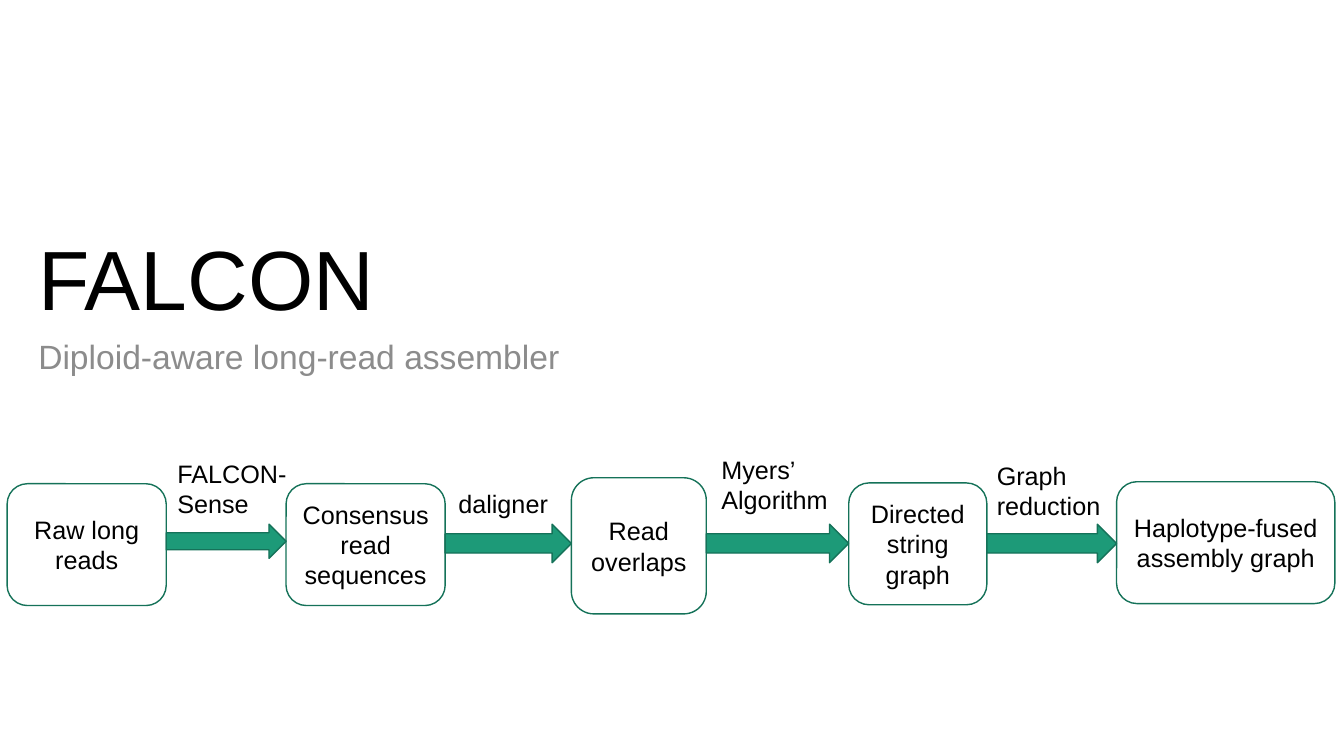
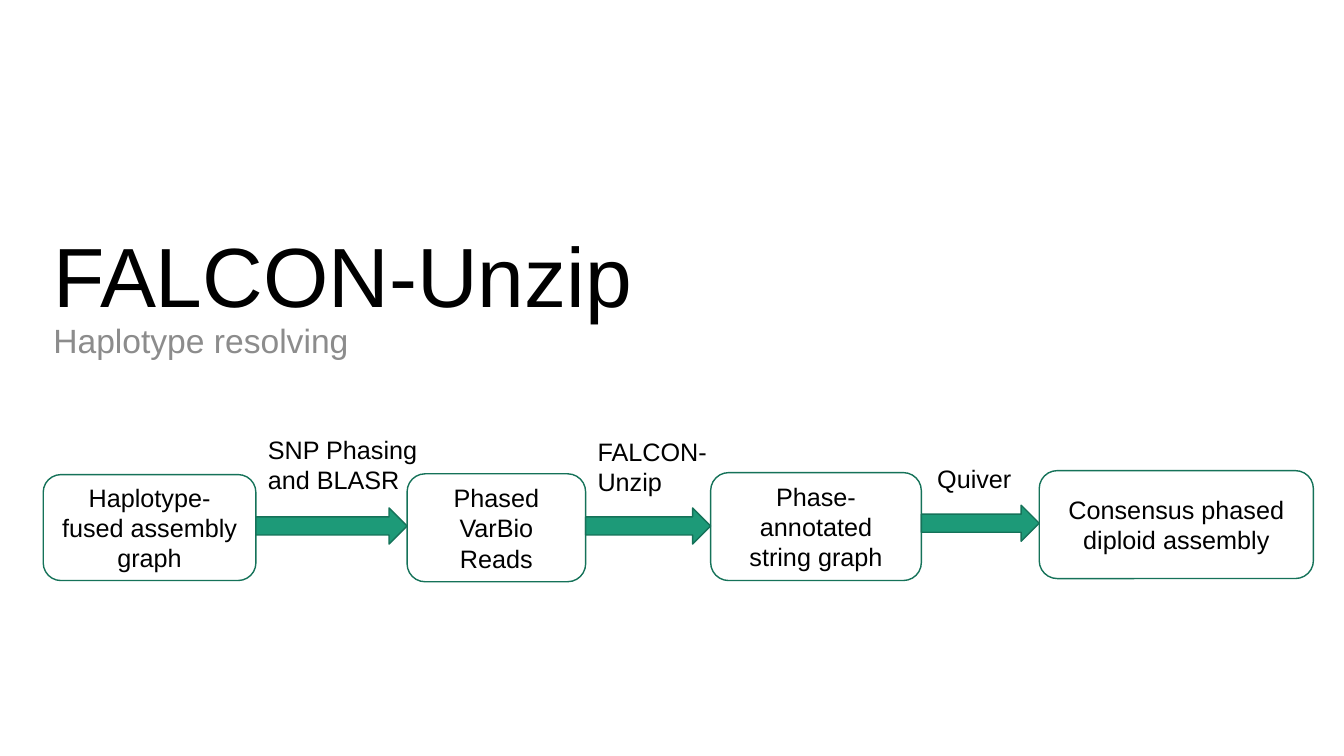
from dataclasses import dataclass
from itertools import pairwise

from pptx import Presentation
from pptx.dml.color import RGBColor
from pptx.enum.shapes import MSO_SHAPE
from pptx.enum.text import MSO_ANCHOR, MSO_AUTO_SIZE, PP_ALIGN
from pptx.util import Cm, Pt

ROUNDED_BOX = MSO_SHAPE.ROUNDED_RECTANGLE
RIGHT_ARROW = MSO_SHAPE.RIGHT_ARROW
TOP, MIDDLE, BOTTOM = MSO_ANCHOR.TOP, MSO_ANCHOR.MIDDLE, MSO_ANCHOR.BOTTOM
LEFT, CENTER = PP_ALIGN.LEFT, PP_ALIGN.CENTER
NO_AUTOFIT = MSO_AUTO_SIZE.NONE
SECTION_LAYOUT = 2


@dataclass(frozen=True)
class Theme:
    font: str = "Arial"
    ink: RGBColor = RGBColor(0x00, 0x00, 0x00)
    muted: RGBColor = RGBColor(0x8C, 0x8C, 0x8C)
    arrow: RGBColor = RGBColor(0x1D, 0x9A, 0x78)
    outline: RGBColor = RGBColor(0x15, 0x72, 0x59)
    title_size: int = 60
    subtitle_size: int = 24
    flow_size: int = 18
    outline_width: int = 1
    heading_spacing: float = 0.9


@dataclass(frozen=True)
class Stage:
    """A box of the pipeline; frame is left, top, width, height in cm."""
    text: str
    frame: tuple

    @property
    def right(self):
        return self.frame[0] + self.frame[2]


@dataclass(frozen=True)
class Link:
    """A labelled arrow that fills the gap between two stages."""
    text: str
    frame: tuple
    arrow_top: float
    arrow_height: float


@dataclass(frozen=True)
class Pipeline:
    title: str
    title_frame: tuple
    subtitle: str
    subtitle_frame: tuple
    stages: tuple
    links: tuple


THEME = Theme()

PIPELINES = (
    Pipeline(
        "FALCON", (0.71, 5.28, 29.21, 3.12),
        "Diploid-aware long-read assembler", (0.71, 8.46, 29.21, 4.17),
        stages=(
            Stage("Raw long reads", (0.18, 12.19, 4.01, 3.07)),
            Stage("Consensus read sequences", (7.21, 12.19, 4.01, 3.07)),
            Stage("Read overlaps", (14.4, 12.04, 3.4, 3.43)),
            Stage("Directed string graph", (21.39, 12.17, 3.48, 3.07)),
            Stage("Haplotype-fused assembly graph", (28.14, 12.14, 5.5, 3.07)),
        ),
        links=(
            Link("FALCON-Sense", (4.22, 11.43, 3.4, 2.13), 13.21, 0.86),
            Link("daligner", (11.3, 12.17, 3.15, 1.19), 13.21, 0.97),
            Link("Myers’ Algorithm", (17.93, 11.33, 3.63, 2.11), 13.21, 0.97),
            Link("Graph reduction", (24.87, 11.48, 3.66, 2.11), 13.21, 0.97),
        ),
    ),
    Pipeline(
        "FALCON-Unzip", (1.09, 5.16, 29.21, 3.18),
        "Haplotype resolving", (1.09, 8.05, 29.21, 1.78),
        stages=(
            Stage("Haplotype-fused assembly graph", (1.09, 11.96, 5.36, 2.67)),
            Stage("Phased VarBio Reads", (10.26, 11.94, 4.5, 2.72)),
            Stage("Phase-annotated string graph", (17.91, 11.91, 5.31, 2.72)),
            Stage("Consensus phased diploid assembly", (26.19, 11.86, 6.91, 2.72)),
        ),
        links=(
            Link("SNP Phasing and BLASR", (6.5, 10.82, 4.32, 3.18), 12.8, 0.91),
            Link("FALCON-Unzip", (14.81, 10.87, 3.51, 2.08), 12.8, 0.91),
            Link("Quiver", (23.37, 11.56, 3.91, 1.27), 12.73, 0.91),
        ),
    ),
)


def set_all(target, values):
    for name, value in values.items():
        setattr(target, name, value)


def lengths(frame):
    return [Cm(number) for number in frame]


def write_text(shape, text, size, color, anchor, align):
    """Put one formatted paragraph into a shape and return the paragraph."""
    frame = shape.text_frame
    set_all(frame, {"word_wrap": True, "auto_size": NO_AUTOFIT,
                    "vertical_anchor": anchor})
    para = frame.paragraphs[0]
    set_all(para, {"alignment": align, "space_before": Pt(0)})
    span = para.add_run()
    span.text = text
    set_all(span.font, {"name": THEME.font, "size": Pt(size), "bold": False})
    span.font.color.rgb = color
    return para


def fill_heading(placeholder, frame, text, size, color, anchor):
    """Move and fill a placeholder, without the layout's capitals."""
    set_all(placeholder, dict(zip(("left", "top", "width", "height"), lengths(frame))))
    para = write_text(placeholder, text, size, color, anchor, LEFT)
    para.line_spacing = THEME.heading_spacing
    para.runs[0]._r.get_or_add_rPr().set("cap", "none")


def add_outlined(shapes, kind, frame):
    shape = shapes.add_shape(kind, *lengths(frame))
    shape.shadow.inherit = False
    shape.line.color.rgb = THEME.outline
    shape.line.width = Pt(THEME.outline_width)
    return shape


def add_stage(shapes, stage):
    box = add_outlined(shapes, ROUNDED_BOX, stage.frame)
    box.fill.background()
    write_text(box, stage.text, THEME.flow_size, THEME.ink, MIDDLE, CENTER)


def add_arrow(shapes, link, start, end):
    frame = (start.right, link.arrow_top, end.frame[0] - start.right, link.arrow_height)
    arrow = add_outlined(shapes, RIGHT_ARROW, frame)
    arrow.fill.solid()
    arrow.fill.fore_color.rgb = THEME.arrow


def add_label(shapes, link):
    label = shapes.add_textbox(*lengths(link.frame))
    write_text(label, link.text, THEME.flow_size, THEME.ink, TOP, LEFT)


def add_pipeline_slide(deck, pipeline):
    slide = deck.slides.add_slide(deck.slide_layouts[SECTION_LAYOUT])
    fill_heading(slide.shapes.title, pipeline.title_frame, pipeline.title,
                 THEME.title_size, THEME.ink, BOTTOM)
    fill_heading(slide.placeholders[1], pipeline.subtitle_frame, pipeline.subtitle,
                 THEME.subtitle_size, THEME.muted, TOP)
    flow = slide.shapes.add_group_shape().shapes
    for stage in pipeline.stages:
        add_stage(flow, stage)
    for link, (start, end) in zip(pipeline.links, pairwise(pipeline.stages)):
        add_arrow(flow, link, start, end)
        add_label(flow, link)


def main():
    deck = Presentation()
    set_all(deck, {"slide_width": Cm(33.87), "slide_height": Cm(19.05)})
    for pipeline in PIPELINES:
        add_pipeline_slide(deck, pipeline)
    deck.save("out.pptx")


if __name__ == "__main__":
    main()
